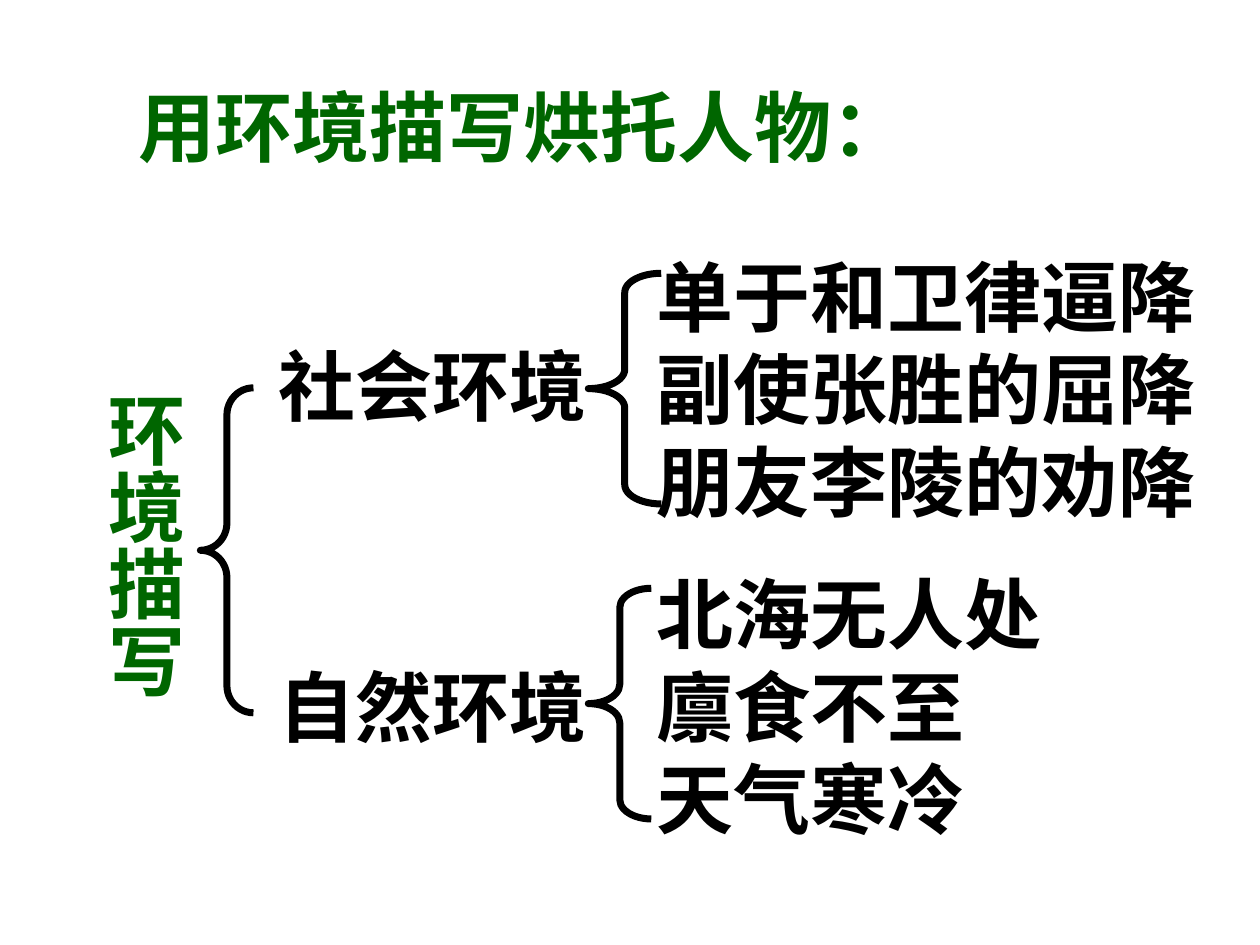
from lxml.etree import SubElement
from pptx import Presentation
from pptx.dml.color import RGBColor
from pptx.enum.shapes import MSO_SHAPE as Shape
from pptx.enum.text import MSO_ANCHOR as Anchor, MSO_AUTO_SIZE as AutoSize, PP_ALIGN as Align
from pptx.oxml.ns import qn
from pptx.util import Cm, Pt

COLORS = {"heading": "006600", "ink": "000000"}
LABEL_LEFT, LIST_LEFT, BRACE_LEFT = 5.36, 12.98, 11.86


def color(name):
    return RGBColor.from_string(COLORS[name])


def place(box, left, top, width, height):
    box.left, box.top, box.width, box.height = map(Cm, (left, top, width, height))


def write(box, lines, color_name, font="Times New Roman", bullets_off=False):
    frame = box.text_frame
    frame.word_wrap = True
    frame.auto_size = AutoSize.NONE
    frame.vertical_anchor = Anchor.TOP
    for index, line in enumerate(lines):
        para = frame.add_paragraph() if index else frame.paragraphs[0]
        para.alignment = Align.LEFT
        para.space_before = Pt(0)
        if bullets_off:
            properties = para._p.get_or_add_pPr()
            properties.set("marL", "0")
            properties.set("indent", "0")
            SubElement(properties, qn("a:buNone"))
        span = para.add_run()
        span.text = line
        span.font.name = font
        span.font.size = Pt(44)
        span.font.bold = True
        span.font.color.rgb = color(color_name)


def add_label(page, text, top):
    box = page.shapes.add_textbox(Cm(LABEL_LEFT), Cm(top), Cm(8.2), Cm(2.13))
    write(box, [text], "ink")


def add_vertical_label(page, text):
    box = page.shapes.add_textbox(Cm(1.6), Cm(7.65), Cm(2.36), Cm(6.48))
    write(box, [text], "heading", "Arial")
    frame = box.text_frame
    frame.margin_left = frame.margin_right = Cm(0.13)
    frame.margin_top = frame.margin_bottom = Cm(0.25)
    frame.word_wrap = False
    frame._txBody.bodyPr.set("vert", "eaVert")


def add_brace(page, left, top, width, height):
    brace = page.shapes.add_shape(Shape.LEFT_BRACE, Cm(left), Cm(top), Cm(width), Cm(height))
    brace.adjustments[0] = height / 12 / width
    brace.shadow.inherit = False
    brace.fill.background()
    brace.line.color.rgb = color("ink")
    brace.line.width = Pt(4)


def main():
    deck = Presentation()
    deck.slide_width, deck.slide_height = Cm(25.4), Cm(19.05)
    page = deck.slides.add_slide(deck.slide_layouts[3])

    title = page.shapes.title
    place(title, 2.54, 1.47, 20.8, 2.13)
    write(title, ["用环境描写烘托人物："], "heading")

    social, natural = page.placeholders[1], page.placeholders[2]
    place(social, LIST_LEFT, 4.9, 12.01, 7.72)
    write(social, ["单于和卫律逼降", "副使张胜的屈降", "朋友李陵的劝降"], "ink", bullets_off=True)
    place(natural, LIST_LEFT, 11.3, 8.41, 5.84)
    write(natural, ["北海无人处", "廪食不至", "天气寒冷"], "ink", bullets_off=True)

    add_label(page, "社会环境", 6.71)
    add_label(page, "自然环境", 13.18)
    add_vertical_label(page, "环境描写")

    add_brace(page, 4.04, 7.82, 1.07, 6.55)
    add_brace(page, BRACE_LEFT, 5.51, 1.47, 4.65)
    add_brace(page, BRACE_LEFT, 11.86, 1.27, 4.65)

    deck.save("out.pptx")


if __name__ == "__main__":
    main()
